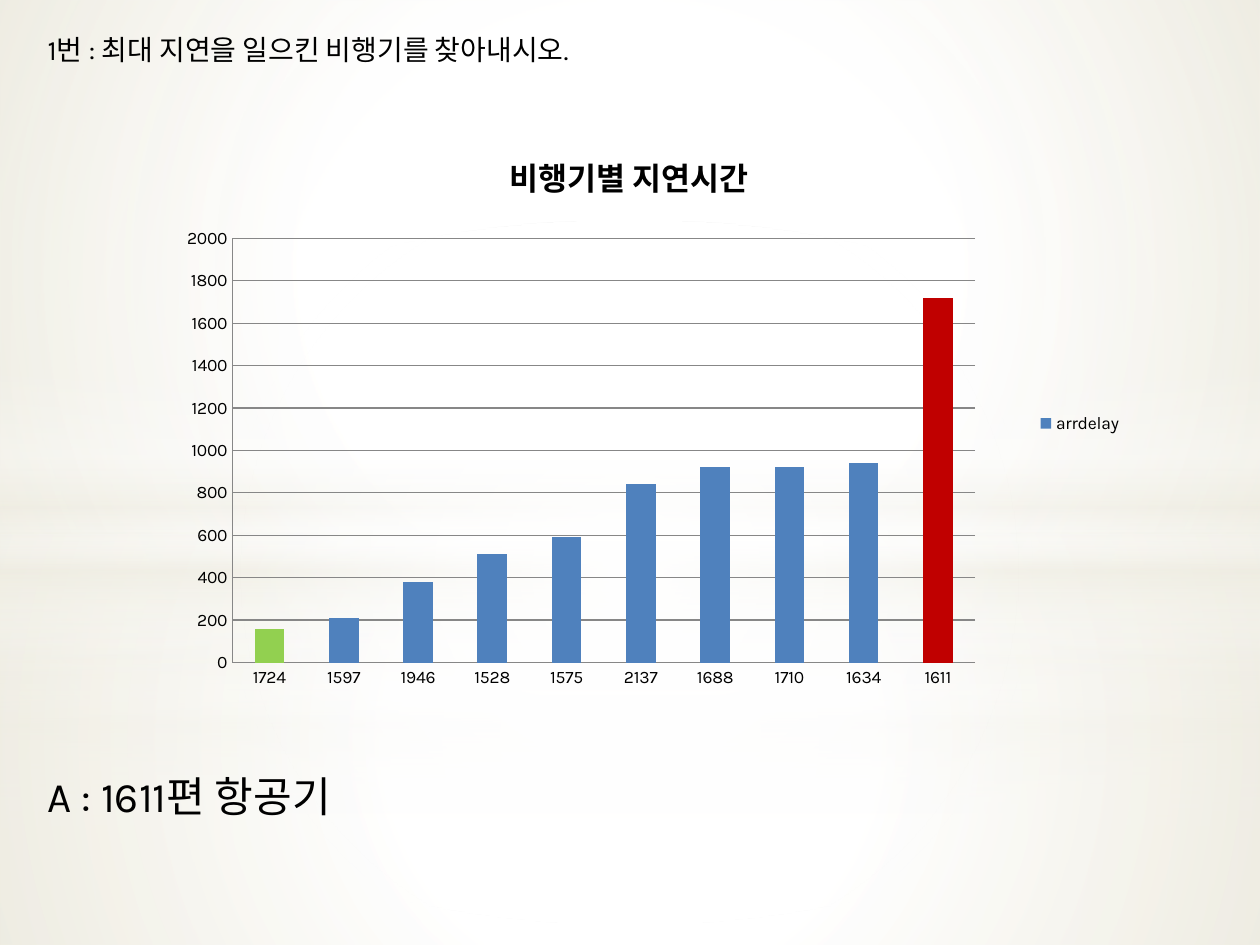
from lxml import etree
from pptx import Presentation
from pptx.chart.data import CategoryChartData
from pptx.dml.color import RGBColor
from pptx.enum.chart import XL_CHART_TYPE as ChartType, XL_LEGEND_POSITION as LegendPosition
from pptx.enum.chart import XL_TICK_MARK as TickMark
from pptx.enum.shapes import MSO_SHAPE as Shape
from pptx.enum.text import MSO_ANCHOR as Anchor, MSO_AUTO_SIZE as AutoSize, PP_ALIGN as Align
from pptx.oxml import parse_xml
from pptx.oxml.ns import nsdecls, qn
from pptx.util import Pt

PX = 914400 / 126
FONT = "Karla"
COLORS = {"text": "000000", "white": "FFFFFF", "cream": "EEECE1", "grid": "878787",
          "bar": "4F81BD", "least": "92D050", "most": "C00000"}

QUESTION = ("1번 : 최대 지연을 일으킨 비행기를 찾아내시오.", (35, 26, 621, 47), 16)
ANSWER = ("A : 1611편 항공기", (35, 764, 362, 63), 24)

CHART_TITLE = "비행기별 지연시간"
CHART_BOX = (123, 126, 1012, 595)
SERIES = "arrdelay"
DELAYS = [("1724", 160), ("1597", 210), ("1946", 380), ("1528", 510), ("1575", 590),
          ("2137", 840), ("1688", 920), ("1710", 920), ("1634", 940), ("1611", 1720)]
HIGHLIGHTS = {0: "least", len(DELAYS) - 1: "most"}
PLOT = {"x": 0.108, "y": 0.189, "w": 0.734, "h": 0.713}

# Gradient stops: position %, colour, opacity %
FLOOR = [(0, "white", 91), (37, "white", 76), (100, "cream", 79)]
WALL = [(0, "white", 89), (48, "white", 62), (100, "cream", 79)]
HORIZON = [(0, "white", 0), (29, "white", 30), (45, "cream", 40),
           (55, "white", 26), (65, "cream", 60), (100, "white", 0)]
RADIAL = ('<a:path path="circle"><a:fillToRect l="50000" t="50000" r="50000" b="50000"/>'
          '</a:path>')
VERTICAL = '<a:lin ang="5400000" scaled="0"/>'


def backdrop_layers():
    """Two stacked backdrops: (shape, top, height, stops, direction) each."""
    for horizon_y, band_top, glow_end in ((703, 519, 56), (533, 365, 54)):
        yield Shape.RECTANGLE, horizon_y, 945 - horizon_y, FLOOR, RADIAL
        yield Shape.RECTANGLE, 0, horizon_y, WALL, RADIAL
        yield Shape.RECTANGLE, band_top, 315, HORIZON, VERTICAL
        glow = [(0, "white", 100), (glow_end, "white", 0)]
        yield Shape.OVAL, 221, 703, glow, RADIAL


def emu(*lengths):
    return [round(length * PX) for length in lengths]


def rgb(name):
    return RGBColor.from_string(COLORS[name])


def set_font(font, size, bold=False):
    font.name, font.size, font.bold = FONT, Pt(size), bold
    font.color.rgb = rgb("text")


def add_backdrop(slide):
    for kind, top, height, stops, direction in backdrop_layers():
        layer = slide.shapes.add_shape(kind, *emu(0, top, 1260, height))
        layer.shadow.inherit = False
        layer.line.fill.background()
        layer.fill.background()
        stop_xml = "".join(
            f'<a:gs pos="{pos * 1000}"><a:srgbClr val="{COLORS[color]}">'
            f'<a:alpha val="{opacity * 1000}"/></a:srgbClr></a:gs>'
            for pos, color, opacity in stops)
        gradient = parse_xml(f'<a:gradFill {nsdecls("a")} rotWithShape="1">'
                             f'<a:gsLst>{stop_xml}</a:gsLst>{direction}</a:gradFill>')
        properties = layer._element.spPr
        properties.replace(properties.find(qn("a:noFill")), gradient)


def write_line(holder, text, box, size):
    holder.left, holder.top, holder.width, holder.height = emu(*box)
    frame = holder.text_frame
    frame.text = text
    frame.word_wrap = False
    frame.auto_size = AutoSize.SHAPE_TO_FIT_TEXT
    frame.vertical_anchor = Anchor.TOP
    frame.paragraphs[0].alignment = Align.LEFT
    set_font(frame.paragraphs[0].font, size)


def set_plot_area(chart):
    plot_area = chart._chartSpace.chart.plotArea
    for old in plot_area.findall(qn("c:layout")):
        plot_area.remove(old)
    layout = etree.Element(qn("c:layout"))
    manual = etree.SubElement(layout, qn("c:manualLayout"))
    settings = {"layoutTarget": "inner", "xMode": "edge", "yMode": "edge", **PLOT}
    for tag, value in settings.items():
        etree.SubElement(manual, qn(f"c:{tag}")).set("val", str(value))
    plot_area.insert(0, layout)


def add_delay_chart(slide):
    data = CategoryChartData()
    data.categories = [flight for flight, _ in DELAYS]
    data.add_series(SERIES, [delay for _, delay in DELAYS])
    chart = slide.shapes.add_chart(ChartType.COLUMN_CLUSTERED, *emu(*CHART_BOX), data).chart
    set_font(chart.font, 10)

    chart.has_title = True
    chart.chart_title.include_in_layout = False
    heading = chart.chart_title.text_frame
    heading.text = CHART_TITLE
    set_font(heading.paragraphs[0].font, 18, bold=True)

    chart.has_legend = True
    chart.legend.position = LegendPosition.RIGHT
    chart.legend.include_in_layout = False

    values = chart.value_axis
    values.minimum_scale, values.maximum_scale, values.major_unit = 0, 2000, 200
    values.has_major_gridlines = True
    for axis in (values, chart.category_axis):
        axis.major_tick_mark = axis.minor_tick_mark = TickMark.NONE
    for line in (values.format.line, values.major_gridlines.format.line,
                 chart.category_axis.format.line):
        line.color.rgb = rgb("grid")
        line.width = Pt(0.75)

    plot = chart.plots[0]
    plot.gap_width = 150
    plot.vary_by_categories = False
    bars = plot.series[0]
    bars.invert_if_negative = False
    fills = [(bars, "bar")] + [(bars.points[i], name) for i, name in HIGHLIGHTS.items()]
    for part, name in fills:
        part.format.fill.solid()
        part.format.fill.fore_color.rgb = rgb(name)
    set_plot_area(chart)


def main():
    deck = Presentation()
    deck.slide_width, deck.slide_height = emu(1260, 945)
    slide = deck.slides.add_slide(deck.slide_layouts[5])
    slide.background.fill.solid()
    slide.background.fill.fore_color.rgb = rgb("white")
    add_backdrop(slide)
    add_delay_chart(slide)

    title = slide.shapes.title
    write_line(title, *QUESTION)
    slide.shapes._spTree.append(title._element)
    write_line(slide.shapes.add_textbox(0, 0, 0, 0), *ANSWER)
    deck.save("out.pptx")


if __name__ == "__main__":
    main()
